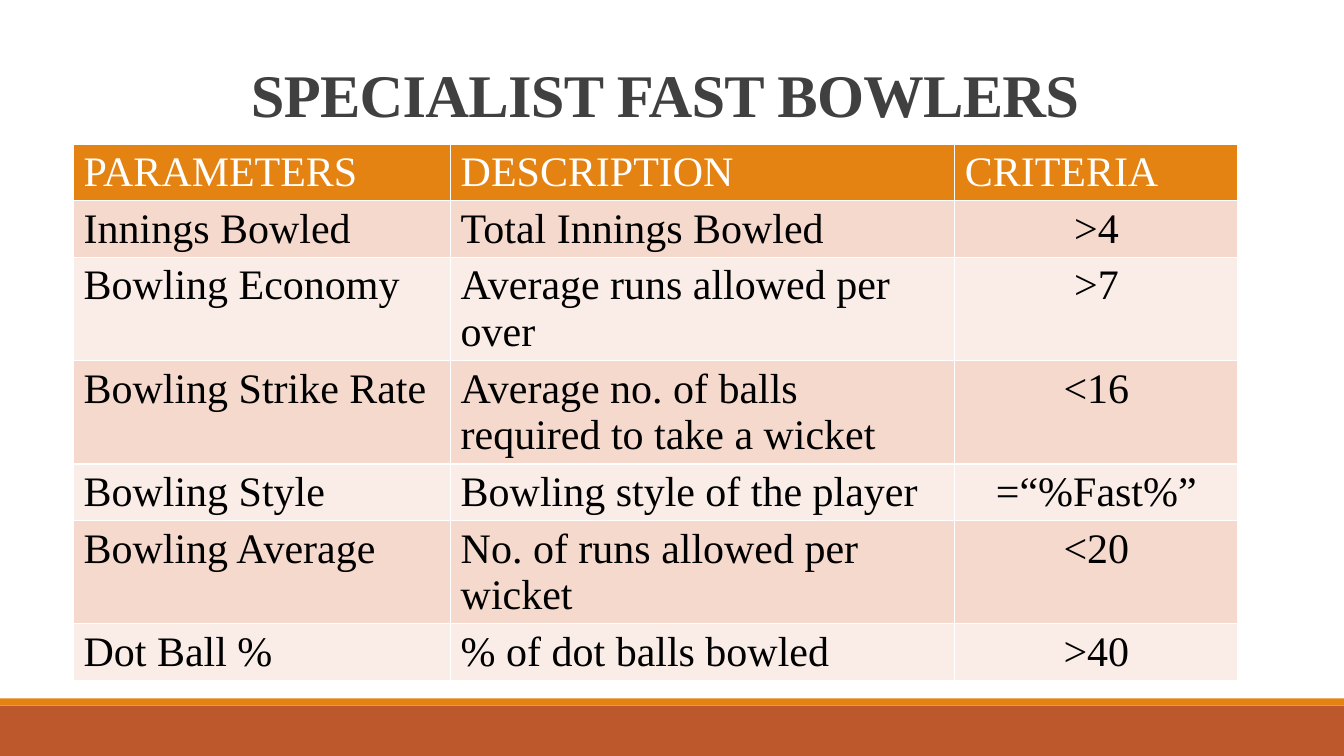
from lxml import etree
from pptx import Presentation, util as u
from pptx.dml.color import RGBColor
from pptx.enum import shapes, text
from pptx.oxml.ns import qn

TITLE = "SPECIALIST FAST BOWLERS"
ROWS = [
    ("PARAMETERS", "DESCRIPTION", "CRITERIA"),
    ("Innings Bowled", "Total Innings Bowled", ">4"),
    ("Bowling Economy", "Average runs allowed per over", ">7"),
    ("Bowling Strike Rate", "Average no. of balls required to take a wicket", "<16"),
    ("Bowling Style", "Bowling style of the player", "=“%Fast%”"),
    ("Bowling Average", "No. of runs allowed per wicket", "<20"),
    ("Dot Ball %", "% of dot balls bowled", ">40"),
]
COL_WIDTHS = (3.74, 5, 2.81)
LINE_CHARS = 27
ROW_HEIGHTS = [1.02 if len(row[1]) > LINE_CHARS else 0.56 for row in ROWS]
BANDS = [("rust", 7, 0.5), ("orange", 6.93, 0.07)]
COLORS = {
    "rust": "BD582C", "orange": "E48312", "title": "404040", "body": "000000",
    "white": "FFFFFF", "odd": "F5D9CC", "even": "FAEDE7",
}
FONT = "Times New Roman"


def rgb(name):
    return RGBColor.from_string(COLORS[name])


def add_run(p, words, size, color):
    r = p.add_run()
    r.text = words
    r.font.name = FONT
    r.font.size = u.Pt(size)
    r.font.color.rgb = rgb(color)
    return r


def add_bands(s, width):
    for color, top, height in BANDS:
        sp = s.shapes.add_shape(shapes.MSO_SHAPE.RECTANGLE, 0, u.Inches(top),
                                width, u.Inches(height))
        sp.shadow.inherit = False
        sp.fill.solid()
        sp.fill.fore_color.rgb = rgb(color)
        sp.line.fill.background()


def add_title(s):
    sp = s.shapes.title
    sp.left, sp.top, sp.width, sp.height = map(u.Inches, (1.45, 0.56, 10.29, 0.78))
    tf = sp.text_frame
    tf.word_wrap = True
    tf.auto_size = text.MSO_AUTO_SIZE.NONE
    tf.vertical_anchor = text.MSO_ANCHOR.BOTTOM
    p = tf.paragraphs[0]
    p.alignment = text.PP_ALIGN.CENTER
    p.line_spacing = 0.85
    r = add_run(p, TITLE, 43.2, "title")
    r.font.bold = True
    r.font._element.set("spc", "-50")


def set_borders(cell):
    tcPr = cell._tc.get_or_add_tcPr()
    for i, side in enumerate(("lnL", "lnR", "lnT", "lnB")):
        ln = etree.Element(qn("a:" + side), w=str(u.Pt(1)))
        fill = etree.SubElement(ln, qn("a:solidFill"))
        etree.SubElement(fill, qn("a:srgbClr"), val=COLORS["white"])
        tcPr.insert(i, ln)


def add_criteria_table(s):
    frame = s.shapes.add_table(len(ROWS), len(COL_WIDTHS), u.Inches(0.73), u.Inches(1.43),
                               u.Inches(sum(COL_WIDTHS)), u.Inches(sum(ROW_HEIGHTS)))
    table = frame.table
    for col, width in zip(table.columns, COL_WIDTHS):
        col.width = u.Inches(width)
    for i, (row, height) in enumerate(zip(ROWS, ROW_HEIGHTS)):
        table.rows[i].height = u.Inches(height)
        fill = "orange" if i == 0 else "odd" if i % 2 else "even"
        for j, words in enumerate(row):
            cell = table.cell(i, j)
            cell.fill.solid()
            cell.fill.fore_color.rgb = rgb(fill)
            set_borders(cell)
            p = cell.text_frame.paragraphs[0]
            if i and j == 2:
                p.alignment = text.PP_ALIGN.CENTER
            r = add_run(p, words, 30, "body" if i else "white")
            r.font.bold = False


def main():
    prs = Presentation()
    prs.slide_width, prs.slide_height = u.Inches(13.33), u.Inches(7.5)
    s = prs.slides.add_slide(prs.slide_layouts[5])
    add_bands(s, prs.slide_width)
    add_title(s)
    add_criteria_table(s)
    prs.save("out.pptx")


if __name__ == "__main__":
    main()
